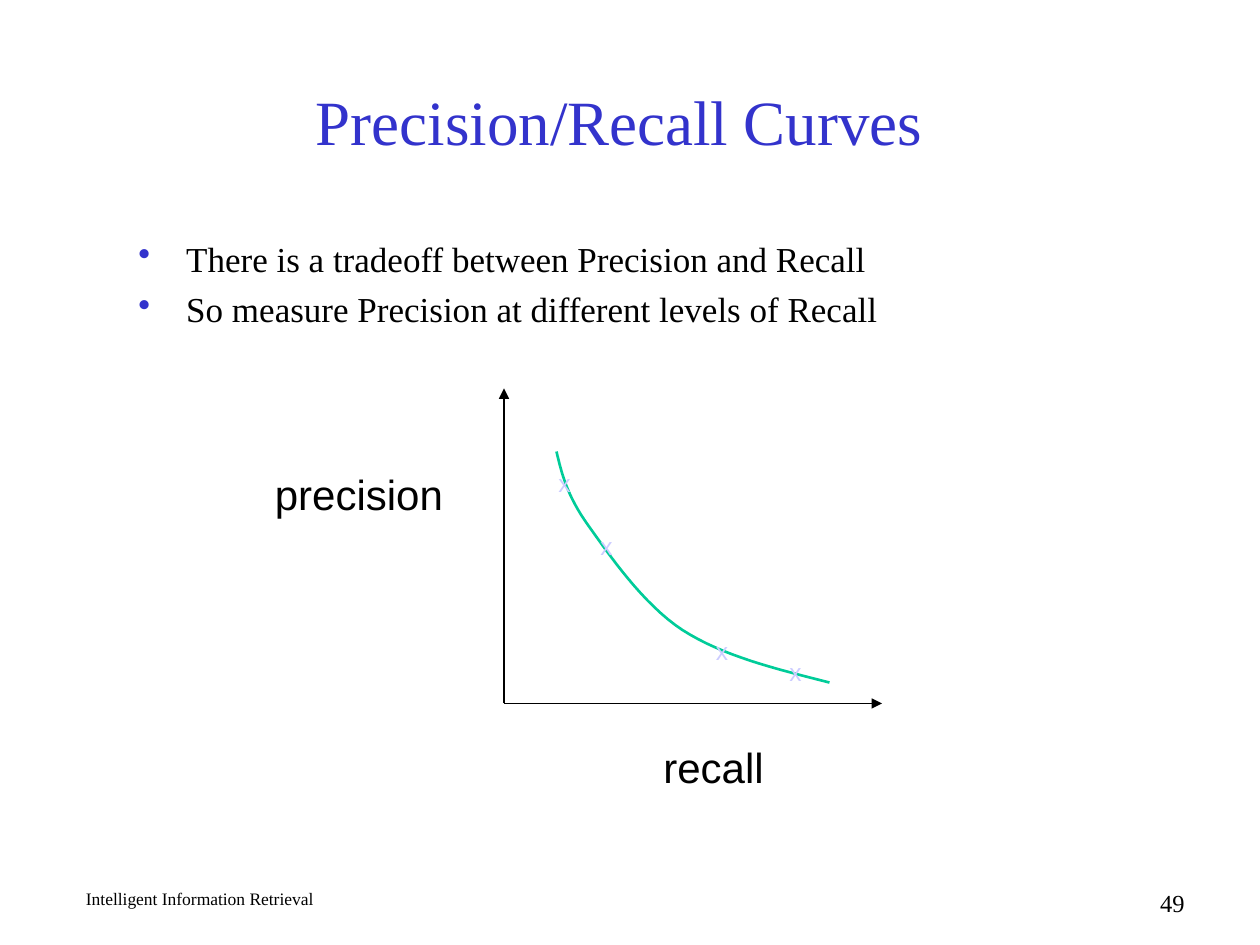
from lxml import etree
from pptx import Presentation
from pptx.dml.color import RGBColor
from pptx.enum.shapes import MSO_CONNECTOR
from pptx.enum.text import MSO_ANCHOR, MSO_AUTO_SIZE, PP_ALIGN
from pptx.oxml.ns import qn
from pptx.util import Inches, Pt

BLACK = RGBColor(0x00, 0x00, 0x00)
BLUE = RGBColor(0x33, 0x33, 0xCC)
GREEN = RGBColor(0x00, 0xCC, 0x99)
LILAC = RGBColor(0xCC, 0xCC, 0xFF)
SERIF, SANS = "Times New Roman", "Arial"
LEFT, CENTER, RIGHT = PP_ALIGN.LEFT, PP_ALIGN.CENTER, PP_ALIGN.RIGHT
TOP, MIDDLE = MSO_ANCHOR.TOP, MSO_ANCHOR.MIDDLE
FIT_SHAPE = MSO_AUTO_SIZE.SHAPE_TO_FIT_TEXT
STRAIGHT = MSO_CONNECTOR.STRAIGHT

CELL = Inches(1) // 12  # the slide is a grid of 120 columns by 90 rows
STEPS = 16  # straight pieces per curve segment

# Columns and rows from the top left of the plot: start, then control, control, end
CURVE_START = (5, 6)
CURVE_SEGMENTS = [
    ((5.5, 8.1), (6, 10.2), (8, 13)),
    ((10, 15.8), (13.2, 20.5), (17, 23)),
    ((20.9, 25.5), (25.9, 26.7), (31, 28)),
]
MARKS = [(4, 7), (8, 13), (19, 23), (26, 25)]


def cells(*counts):
    return [round(n * CELL) for n in counts]


def add_text(s, box, lines, size, font=SERIF, color=BLACK, align=LEFT, anchor=TOP):
    tf = s.shapes.add_textbox(*cells(*box)).text_frame
    tf.word_wrap = True
    tf.vertical_anchor = anchor
    tf.text = "\n".join(lines)
    for p in tf.paragraphs:
        p.alignment = align
        for r in p.runs:
            r.font.size = Pt(size)
            r.font.name = font
            r.font.color.rgb = color
    return tf


def add_label(s, box, text, size, color=BLACK):
    """Sans text on one line, in a box that fits it."""
    tf = add_text(s, box, [text], size, SANS, color)
    tf.word_wrap = False
    tf.auto_size = FIT_SHAPE


def add_bullets(s, box, lines):
    tf = add_text(s, box, lines, 20)
    for i, p in enumerate(tf.paragraphs):
        pPr = p._p.get_or_add_pPr()
        pPr.set("marL", str(Inches(0.38)))
        pPr.set("indent", str(-Inches(0.38)))
        color = etree.SubElement(pPr, qn("a:buClr"))
        etree.SubElement(color, qn("a:srgbClr"), val=str(BLUE))
        etree.SubElement(pPr, qn("a:buChar"), char="•")
        if i:
            p.space_before = Pt(5)


def add_axis(s, start, end):
    axis = s.shapes.add_connector(STRAIGHT, *cells(*start, *end))
    axis.line.color.rgb = BLACK
    axis.line.width = Pt(1)
    etree.SubElement(axis.line._get_or_add_ln(), qn("a:tailEnd"), type="triangle")
    etree.SubElement(axis._element.spPr, qn("a:effectLst"))


def bezier(p0, p1, p2, p3, t):
    u = 1 - t
    return tuple(u**3 * a + 3 * u * u * t * b + 3 * u * t * t * c + t**3 * d
                 for a, b, c, d in zip(p0, p1, p2, p3))


def add_curve(s, left, top):
    points = [CURVE_START]
    for segment in CURVE_SEGMENTS:
        start = points[-1]
        points += [bezier(start, *segment, i / STEPS) for i in range(1, STEPS + 1)]
    points = [cells(left + x, top + y) for x, y in points]
    builder = s.shapes.build_freeform(*points[0])
    builder.add_line_segments(points[1:], close=False)
    curve = builder.convert_to_shape()
    curve.shadow.inherit = False
    curve.fill.background()
    curve.line.color.rgb = GREEN
    curve.line.width = Pt(1.5)


def add_plot(s, left, top, width, height):
    origin = (left, top + height)
    add_axis(s, origin, (left, top))
    add_axis(s, origin, (left + width, top + height))
    add_curve(s, left, top)
    add_label(s, (left - 23, top + 7, 18.5, 6), "precision", 24)
    add_label(s, (left + 14, top + height + 3, 12, 6), "recall", 24)
    for x, y in MARKS:
        add_label(s, (left + x, top + y, 3.6, 4), "x", 14, LILAC)


def add_footer(s, left, top, width, height):
    add_text(s, (left, top, 45, height), ["Intelligent Information Retrieval"], 10)
    add_text(s, (left + width - 25, top, 25, height), ["49"], 14, align=RIGHT)


def main():
    prs = Presentation()
    prs.slide_width, prs.slide_height = cells(120, 90)
    s = prs.slides.add_slide(prs.slide_layouts[6])
    add_footer(s, 7, 84, 107, 3)
    add_text(s, (8, 4, 102, 15), ["Precision/Recall Curves"], 36,
             color=BLUE, align=CENTER, anchor=MIDDLE)
    add_bullets(s, (12, 22, 102, 54), [
        "There is a tradeoff between Precision and Recall",
        "So measure Precision at different levels of Recall",
    ])
    add_plot(s, 48, 37, 36, 30)
    prs.save("out.pptx")


if __name__ == "__main__":
    main()
